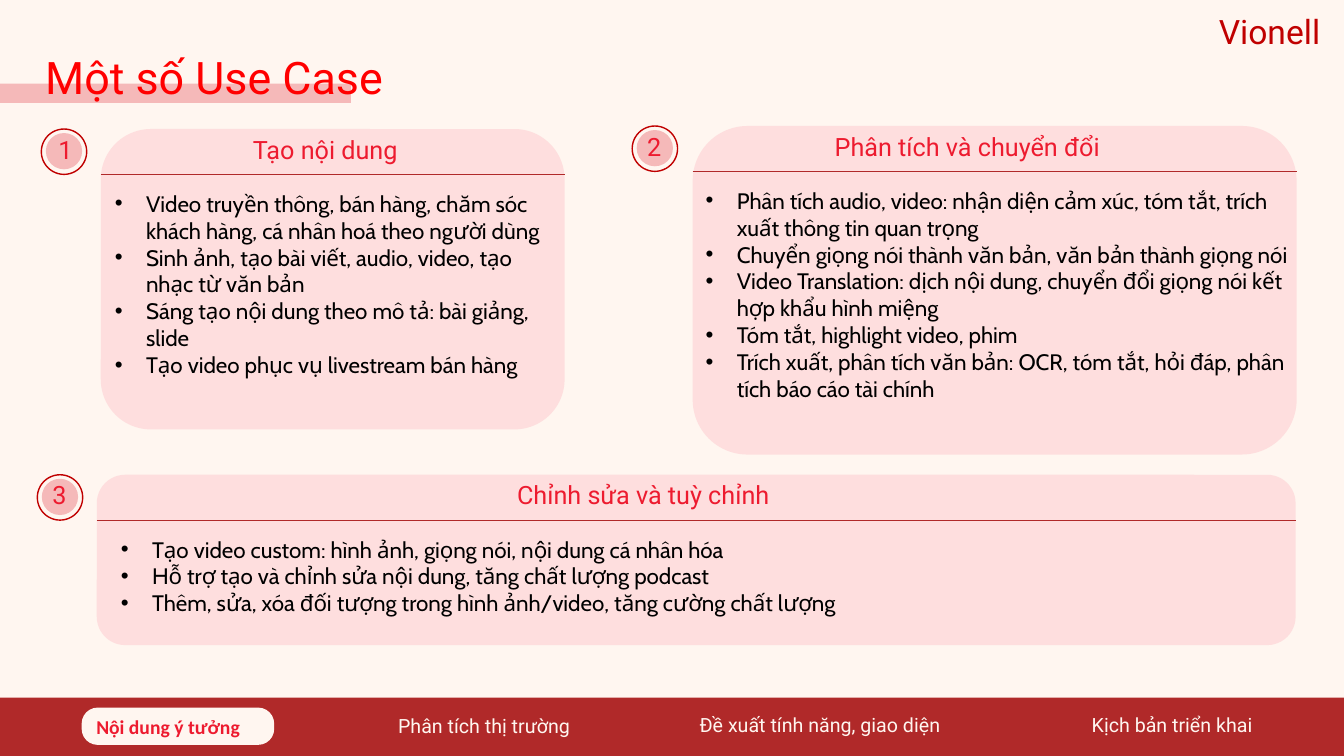
"""Build the use case slide with three numbered panels and a navigation bar."""
from lxml import etree
from pptx import Presentation
from pptx import util as u
from pptx.dml.color import RGBColor
from pptx.enum import shapes, text
from pptx.oxml.ns import qn

CREAM, ROSE, PINK = "FFF6F0", "F5B9B9", "FEDEDE"
BRICK, CRIMSON, DARK_RED = "B02929", "ED1B2F", "C00000"

BRAND = "Vionell"
TITLE = "Một số Use Case"
PANELS = [
    dict(heading="Tạo nội dung", box=(1, 1.28, 4.6, 2.98), badge_left=0.41,
         number_left=0.48, heading_left=2.41, list_left=1.04, list_width=4.49,
         points=["Video truyền thông, bán hàng, chăm sóc khách hàng, cá nhân hoá theo người dùng",
                 "Sinh ảnh, tạo bài viết, audio, video, tạo nhạc từ văn bản",
                 "Sáng tạo nội dung theo mô tả: bài giảng, slide",
                 "Tạo video phục vụ livestream bán hàng"]),
    dict(heading="Phân tích và chuyển đổi", box=(6.87, 1.25, 5.99, 3.26), badge_left=6.27,
         number_left=6.32, heading_left=8.18, list_left=6.9, list_width=6.02,
         points=["Phân tích audio, video: nhận diện cảm xúc, tóm tắt, trích xuất thông tin quan trọng",
                 "Chuyển giọng nói thành văn bản, văn bản thành giọng nói",
                 "Video Translation: dịch nội dung, chuyển đổi giọng nói kết hợp khẩu hình miệng",
                 "Tóm tắt, highlight video, phim",
                 "Trích xuất, phân tích văn bản: OCR, tóm tắt, hỏi đáp, phân tích báo cáo tài chính"]),
    dict(heading="Chỉnh sửa và tuỳ chỉnh", box=(0.96, 4.71, 11.89, 1.69), badge_left=0.37,
         number_left=0.42, heading_left=5.03, list_left=1.1, list_width=9.73,
         points=["Tạo video custom: hình ảnh, giọng nói, nội dung cá nhân hóa",
                 "Hỗ trợ tạo và chỉnh sửa nội dung, tăng chất lượng podcast",
                 "Thêm, sửa, xóa đối tượng trong hình ảnh/video, tăng cường chất lượng"]),
]
ACTIVE_SECTION = "Nội dung ý tưởng"
SECTIONS = [("Phân tích thị trường", 3.85, 7.03, 2.5),
            ("Đề xuất tính năng, giao diện", 6.84, 7.02, 3.18),
            ("Kịch bản triển khai", 10.73, 7.02, 2.5)]


def rgb(value):
    return RGBColor.from_string(value)


def add_block(slide, kind, box, fill=None, line=None):
    block = slide.shapes.add_shape(kind, *map(u.Inches, box))
    block.shadow.inherit = False
    if fill:
        block.fill.solid()
        block.fill.fore_color.rgb = rgb(fill)
    else:
        block.fill.background()
    if line:
        block.line.color.rgb = rgb(line)
        block.line.width = u.Pt(1)
    else:
        block.line.fill.background()
    return block


def style(paragraph, size, color, font="Roboto", bold=False):
    for run in paragraph.runs:
        run.font.size, run.font.name, run.font.bold = u.Pt(size), font, bold
        run.font.color.rgb = rgb(color)


def add_label(slide, words, box, size, color):
    label = slide.shapes.add_textbox(*map(u.Inches, box)).text_frame
    label.word_wrap = True
    label.text = words
    style(label.paragraphs[0], size, color)


def add_points(slide, points, box):
    frame = slide.shapes.add_textbox(*map(u.Inches, box)).text_frame
    frame.word_wrap = True
    frame.text = "\n".join(points)
    for point in frame.paragraphs:
        properties = point._p.get_or_add_pPr()
        properties.set("marL", str(u.Inches(0.31)))
        properties.set("indent", str(-u.Inches(0.31)))
        etree.SubElement(properties, qn("a:buFont"), typeface="Arial")
        etree.SubElement(properties, qn("a:buChar"), char="•")
        style(point, 16, "000000", "Cabin")


def add_rule(slide, left, top, width):
    rule = slide.shapes.add_connector(
        shapes.MSO_CONNECTOR.STRAIGHT, *map(u.Inches, (left, top, left + width, top)))
    rule.line.color.rgb = rgb(BRICK)
    rule.line.width = u.Pt(0.5)
    etree.SubElement(rule._element.spPr, qn("a:effectLst"))


def add_panel(slide, number, panel):
    left, top, width, height = panel["box"]
    badge = panel["badge_left"]
    add_block(slide, shapes.MSO_SHAPE.OVAL, (badge, top, 0.45, 0.45), line=DARK_RED)
    add_block(slide, shapes.MSO_SHAPE.OVAL, (badge + 0.045, top + 0.04, 0.36, 0.36), ROSE)
    add_label(slide, str(number), (panel["number_left"], top, 0.35, 0.4), 18, CRIMSON)
    add_block(slide, shapes.MSO_SHAPE.ROUNDED_RECTANGLE, panel["box"], PINK)
    add_label(slide, panel["heading"], (panel["heading_left"], top, 3.76, 0.4), 18, CRIMSON)
    add_rule(slide, left, top + 0.45, width)
    add_points(slide, panel["points"],
               (panel["list_left"], top + 0.555, panel["list_width"], height - 0.75))


def add_navigation(slide):
    add_block(slide, shapes.MSO_SHAPE.RECTANGLE, (0, 6.92, 13.33, 0.58), BRICK)
    active = add_block(slide, shapes.MSO_SHAPE.ROUNDED_RECTANGLE, (0.81, 7.02, 1.91, 0.37), CREAM)
    active.adjustments[0] = 0.43
    active.text_frame.text = ACTIVE_SECTION
    active.text_frame.vertical_anchor = text.MSO_ANCHOR.MIDDLE
    caption = active.text_frame.paragraphs[0]
    caption.alignment = text.PP_ALIGN.JUSTIFY
    style(caption, 14, CRIMSON, "Calibri", True)
    for section, left, top, width in SECTIONS:
        add_label(slide, section, (left, top, width, 0.34), 14, CREAM)


def main():
    deck = Presentation()
    deck.slide_width, deck.slide_height = u.Inches(13.33), u.Inches(7.5)
    slide = deck.slides.add_slide(deck.slide_layouts[6])
    slide.background.fill.solid()
    slide.background.fill.fore_color.rgb = rgb(CREAM)
    add_navigation(slide)
    add_label(slide, BRAND, (11.99, 0.06, 1.34, 0.5), 24, DARK_RED)
    add_block(slide, shapes.MSO_SHAPE.RECTANGLE, (0, 0.83, 3.48, 0.19), ROSE)
    add_label(slide, TITLE, (0.35, 0.44, 3.97, 0.64), 32, "FF0000")
    for number, panel in enumerate(PANELS, 1):
        add_panel(slide, number, panel)
    deck.save("out.pptx")


if __name__ == "__main__":
    main()
